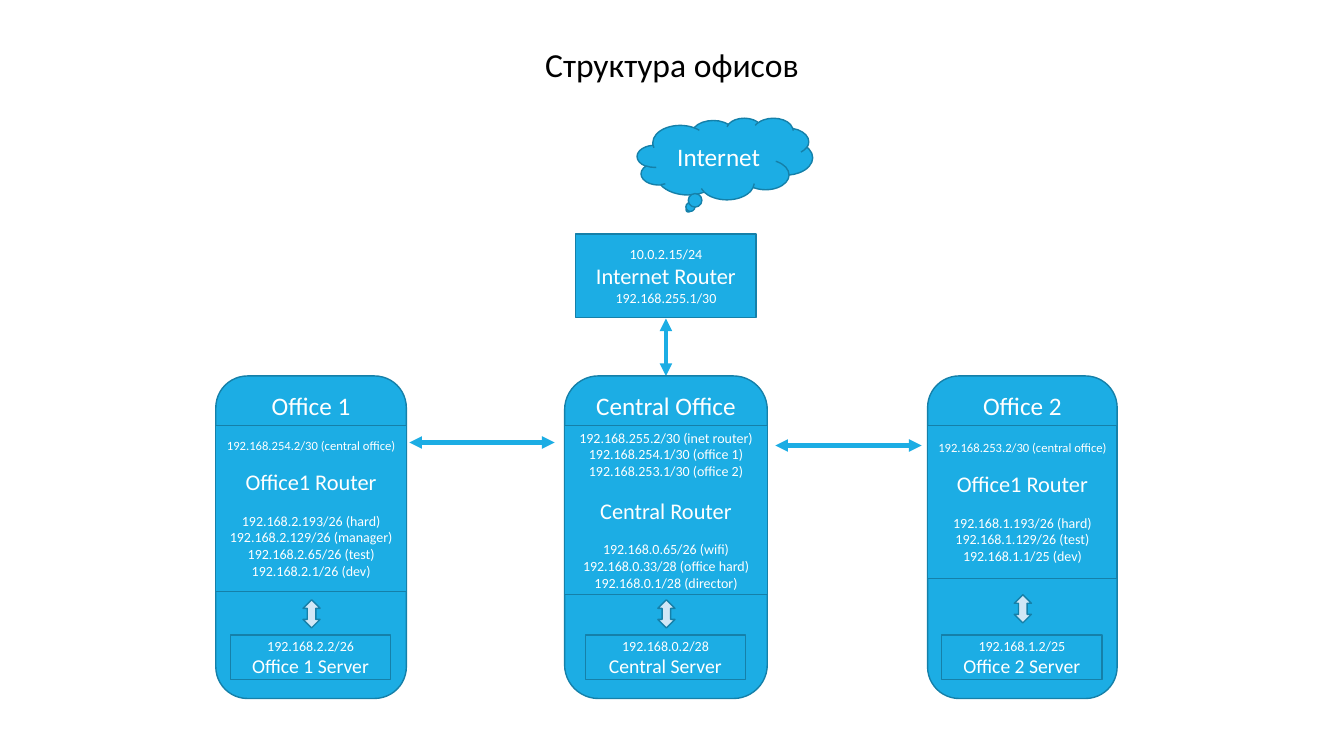
"""Build the office network structure slide."""
from lxml import etree
from pptx import Presentation
from pptx import util as u
from pptx.dml.color import RGBColor
from pptx.enum import shapes, text
from pptx.oxml import ns

BLUE = RGBColor(0x1C, 0xAD, 0xE4)
EDGE = RGBColor(0x15, 0x80, 0xA9)
PALE = RGBColor(0xD1, 0xE7, 0xF6)
WHITE = RGBColor(0xFF, 0xFF, 0xFF)
BLACK = RGBColor(0, 0, 0)
FONT = "Calibri"
KIND = shapes.MSO_SHAPE
MID = text.MSO_ANCHOR.MIDDLE
TOP = text.MSO_ANCHOR.TOP


def style(para, size, color):
    """Center a paragraph and set its font."""
    para.alignment = text.PP_ALIGN.CENTER
    para.font.name = FONT
    para.font.size = u.Pt(size)
    para.font.color.rgb = color


def write(frame, rows):
    """Write rows of text, size and optional space before and after."""
    for i, (words, size, *gaps) in enumerate(rows):
        para = frame.paragraphs[0] if i == 0 else frame.add_paragraph()
        para.text = words
        style(para, size, WHITE)
        if gaps:
            para.space_before, para.space_after = map(u.Pt, gaps)


def block(slide, kind, box, rows=(), fill=BLUE, anchor=MID):
    """Add an outlined shape with centered text."""
    shape = slide.shapes.add_shape(kind, *map(u.Inches, box))
    shape.shadow.inherit = False
    shape.fill.solid()
    shape.fill.fore_color.rgb = fill
    shape.line.color.rgb = EDGE
    shape.line.width = u.Pt(1)
    frame = shape.text_frame
    frame.word_wrap = True
    frame.vertical_anchor = anchor
    frame.margin_left = frame.margin_right = u.Inches(0.05)
    write(frame, rows)


def link(slide, start, end):
    """Add a line with an arrowhead at each end."""
    line = slide.shapes.add_connector(
        shapes.MSO_CONNECTOR.STRAIGHT, *map(u.Inches, (*start, *end)))
    line.line.color.rgb = BLUE
    line.line.width = u.Pt(3)
    edge = line.line.fill._xPr
    for tag in ("a:headEnd", "a:tailEnd"):
        etree.SubElement(edge, ns.qn(tag), type="triangle")
    etree.SubElement(line._element.spPr, ns.qn("a:effectLst"))


def title(slide, box, words):
    """Place the slide title."""
    head = slide.shapes.title
    head.left, head.top, head.width, head.height = map(u.Inches, box)
    head.text_frame.text = words
    head.text_frame.vertical_anchor = MID
    style(head.text_frame.paragraphs[0], 24, BLACK)


def uplink(slide, box):
    """Draw the cloud, the router below it and the link to the office."""
    left, top, width, height = box
    block(slide, KIND.CLOUD_CALLOUT, (left + 0.61, top, 1.74, 0.81),
          [("Internet", 18)])
    block(slide, KIND.RECTANGLE, (left, top + 1.15, width, 0.83),
          [("10.0.2.15/24", 10), ("Internet Router", 16),
           ("192.168.255.1/30", 10)])
    mid = left + width / 2
    link(slide, (mid, top + 1.99), (mid, top + height))


def office(slide, box, name, router, depth, outer, inner, server, drop=2.22):
    """Draw an office with its router, server and the arrow between."""
    left, top, width, height = box
    mid = left + width / 2
    block(slide, KIND.ROUNDED_RECTANGLE, box, [(name, 18)], anchor=TOP)
    small = 10 if len(outer) > 1 else 9
    rows = [(row, small) for row in outer]
    rows.append((router, 16, small * 1.22, 12.2))
    rows += [(row, 10) for row in inner]
    block(slide, KIND.RECTANGLE, (left, top + 0.49, width, depth), rows)
    block(slide, KIND.RECTANGLE, (mid - 0.8, top + 2.57, 1.59, 0.44),
          [(server[0], 10), (server[1], 14)])
    block(slide, KIND.UP_DOWN_ARROW, (mid - 0.08, top + drop, 0.17, 0.28),
          fill=PALE)


def main():
    """Build and save the slide."""
    deck = Presentation()
    deck.slide_width, deck.slide_height = u.Inches(13.33), u.Inches(7.5)
    slide = deck.slides.add_slide(deck.slide_layouts[5])
    title(slide, (0, 0.39, 13.33, 0.5), "Структура офисов")
    uplink(slide, (5.71, 1.17, 1.79, 2.56))
    top, tall = 3.73, 3.2
    office(slide, (2.14, top, 1.89, tall), "Office 1", "Office1 Router", 1.65,
           ["192.168.254.2/30 (central office)"],
           ["192.168.2.193/26 (hard)", "192.168.2.129/26 (manager)",
            "192.168.2.65/26 (test)", "192.168.2.1/26 (dev)"],
           ("192.168.2.2/26", "Office 1 Server"))
    office(slide, (5.6, top, 2.01, tall), "Central Office", "Central Router",
           1.68,
           ["192.168.255.2/30 (inet router)", "192.168.254.1/30 (office 1)",
            "192.168.253.1/30 (office 2)"],
           ["192.168.0.65/26 (wifi)", "192.168.0.33/28 (office hard)",
            "192.168.0.1/28 (director)"],
           ("192.168.0.2/28", "Central Server"))
    office(slide, (9.2, top, 1.88, tall), "Office 2", "Office1 Router", 1.52,
           ["192.168.253.2/30 (central office)"],
           ["192.168.1.193/26 (hard)", "192.168.1.129/26 (test)",
            "192.168.1.1/25 (dev)"],
           ("192.168.1.2/25", "Office 2 Server"), drop=2.17)
    link(slide, (5.5, 4.39), (4.06, 4.39))
    link(slide, (9.14, 4.42), (7.69, 4.42))
    deck.save("out.pptx")


main()
